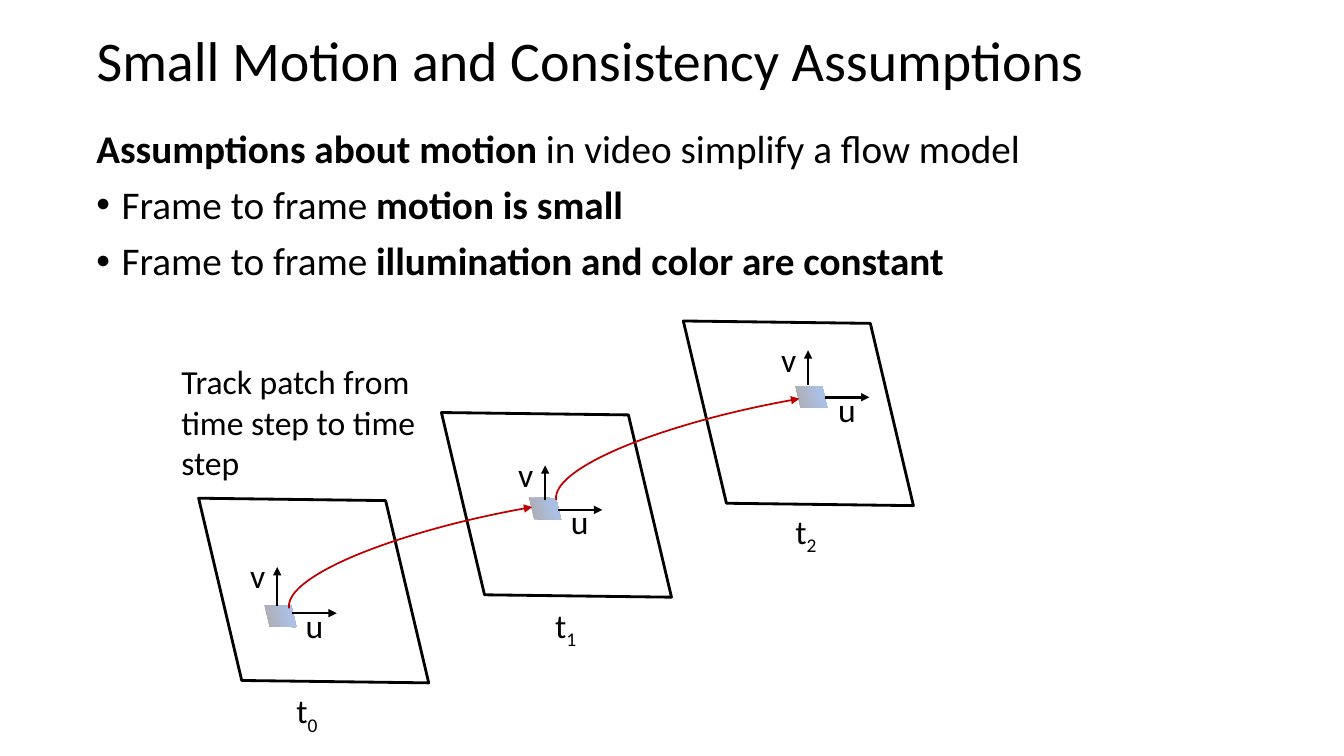
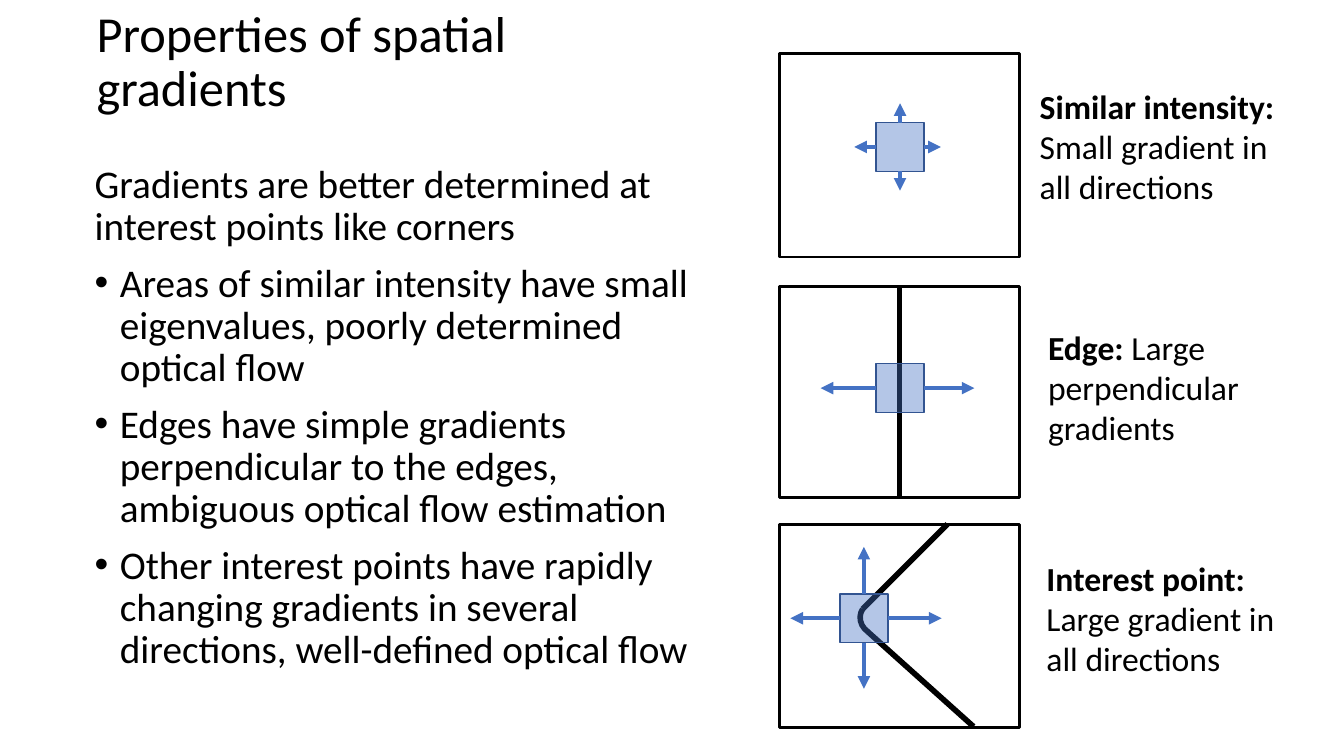
from dataclasses import dataclass, field
from typing import Optional

from lxml.etree import SubElement
from pptx import Presentation
from pptx.dml.color import RGBColor
from pptx.enum.shapes import MSO_CONNECTOR, MSO_SHAPE
from pptx.enum.text import MSO_ANCHOR, MSO_AUTO_SIZE, PP_ALIGN
from pptx.oxml.ns import qn
from pptx.util import Inches, Pt

# Grid: 160 columns by 90 rows of square cells
COLUMNS, ROWS = 160, 90
CELL = Inches(1) // 12

# Shared look
FONT = "Calibri"
BLACK = RGBColor(0x00, 0x00, 0x00)
WHITE = RGBColor(0xFF, 0xFF, 0xFF)
RED = RGBColor(0xC0, 0x00, 0x00)
BLUE = RGBColor(0x44, 0x72, 0xC4)
DARK_BLUE = RGBColor(0x32, 0x54, 0x91)
GREY = RGBColor(0xAF, 0xAB, 0xAB)
PALE_BLUE = RGBColor(0xAB, 0xC0, 0xE4)
LIGHT_BLUE = RGBColor(0xC7, 0xD5, 0xED)
PATCH_STOPS = ((0, GREY), (74, PALE_BLUE), (83, PALE_BLUE), (100, LIGHT_BLUE))
BODY_SIZE, LABEL_SIZE = 28, 24
TILT, SWEEP = 256.7, 260
TOP, LEFT, BOTTOM, RIGHT = range(4)
DIRECTIONS = {TOP: (0, -1), LEFT: (-1, 0), BOTTOM: (0, 1), RIGHT: (1, 0)}

Point = tuple[float, float]


@dataclass(frozen=True)
class Area:
    left: float
    top: float
    width: float
    height: float

    def emu(self) -> list[int]:
        return [cells(v) for v in (self.left, self.top, self.width, self.height)]

    def side(self, site: int) -> Point:
        across, down = DIRECTIONS[site]
        return (self.left + self.width * (1 + across) / 2,
                self.top + self.height * (1 + down) / 2)


@dataclass(frozen=True)
class Span:
    text: str
    bold: bool = False
    lowered: bool = False


@dataclass(frozen=True)
class Para:
    spans: tuple[Span, ...]
    bullet: bool = False


@dataclass(frozen=True)
class TimeStep:
    frame: Point
    patch: Point
    name: Point
    u_start: Point
    v_start: Point
    v_length: float


@dataclass(frozen=True)
class Panel:
    area: Area
    patch: Point
    caption: Point
    heading: str
    text: str
    reach: dict[int, float] = field(default_factory=dict)


def cells(count: float) -> int:
    return round(count * CELL)


# Drawing helpers
def apply(target, values: dict) -> None:
    for name, value in values.items():
        setattr(target, name, value)


def fill_para(para, spans: tuple[Span, ...], size: int) -> None:
    for span in spans:
        run = para.add_run()
        run.text = span.text
        apply(run.font, {"name": FONT, "size": Pt(size), "bold": span.bold})
        run.font.color.rgb = BLACK
        if span.lowered:
            run.font._element.set("baseline", "-25000")


def add_title(page, text: str, width: float, size: int) -> None:
    title = page.shapes.title
    apply(title, dict(zip(("left", "top", "width", "height"),
                          Area(10.3, 1.8, width, 11.4).emu())))
    apply(title.text_frame, {"vertical_anchor": MSO_ANCHOR.MIDDLE,
                             "word_wrap": True, "auto_size": MSO_AUTO_SIZE.NONE})
    para = title.text_frame.paragraphs[0]
    apply(para, {"alignment": PP_ALIGN.LEFT, "line_spacing": 0.9})
    fill_para(para, (Span(text),), size)


def add_label(page, area: Area, *spans: Span) -> None:
    frame = page.shapes.add_textbox(*area.emu()).text_frame
    apply(frame, {"word_wrap": True, "auto_size": MSO_AUTO_SIZE.SHAPE_TO_FIT_TEXT})
    fill_para(frame.paragraphs[0], spans, LABEL_SIZE)


def add_body(page, area: Area, paras: tuple[Para, ...]) -> None:
    frame = page.shapes.add_textbox(*area.emu()).text_frame
    frame.word_wrap = True
    for index, item in enumerate(paras):
        para = frame.add_paragraph() if index else frame.paragraphs[0]
        if item.bullet:
            properties = para._p.get_or_add_pPr()
            properties.set("marL", str(Inches(0.25)))
            properties.set("indent", str(-Inches(0.25)))
            SubElement(properties, qn("a:buFont")).set("typeface", "Arial")
            SubElement(properties, qn("a:buChar")).set("char", "•")
        para.line_spacing = 0.9
        if index:
            para.space_before = Pt(10)
        fill_para(para, item.spans, BODY_SIZE)


def add_arrowhead(line) -> None:
    SubElement(line._get_or_add_ln(), qn("a:tailEnd")).set("type", "triangle")


def add_figure(page, kind: MSO_SHAPE, area: Area, fill: Optional[RGBColor] = None,
               line: Optional[RGBColor] = None, weight: float = 1,
               rotation: float = 0):
    shape = page.shapes.add_shape(kind, *area.emu())
    shape.shadow.inherit = False
    shape.rotation = rotation
    if fill is None:
        shape.fill.background()
    else:
        shape.fill.solid()
        shape.fill.fore_color.rgb = fill
    if line is None:
        shape.line.fill.background()
    else:
        shape.line.color.rgb = line
        shape.line.width = Pt(weight)
    return shape


def add_line(page, start: Point, end: Point, weight: float,
             color: RGBColor = BLACK, arrow: bool = False):
    line = page.shapes.add_connector(MSO_CONNECTOR.STRAIGHT,
                                     *(cells(v) for v in start + end))
    line.line.color.rgb = color
    line.line.width = Pt(weight)
    if arrow:
        add_arrowhead(line.line)
    SubElement(line._element.spPr, qn("a:effectLst"))
    return line


def shade_patch(shape) -> None:
    """Fill with the four-stop gradient that turns with the shape."""
    shape.fill.gradient()
    gradient = shape._element.spPr.find(qn("a:gradFill"))
    gradient.set("rotWithShape", "1")
    stops = gradient.find(qn("a:gsLst"))
    for stop in list(stops):
        stops.remove(stop)
    for position, color in PATCH_STOPS:
        stop = SubElement(stops, qn("a:gs"))
        stop.set("pos", str(position * 1000))
        SubElement(stop, qn("a:srgbClr")).set("val", str(color))
    gradient.find(qn("a:lin")).set("ang", "5400000")


# Slide 1: a patch tracked over three time steps
STEPS = (
    TimeStep((23.5, 59.5), (31.7, 71.8), (34.1, 81.6), (34.8, 73), (33, 72.1), 4.6),
    TimeStep((52.4, 49.3), (63.2, 59), (64.9, 71.4), (66.4, 60.7), (64.9, 59.5), 4.1),
    TimeStep((81.2, 38.4), (94.9, 45.7), (93.5, 60.2), (98.2, 47.3), (96.2, 45.8), 4.1),
)
TRACKS = ((57.7, 36.5), (89.5, 23.6))
MOTION_TEXT = (
    Para((Span("Assumptions about motion", True),
          Span(" in video simplify a flow model"))),
    Para((Span("Frame to frame "), Span("motion is small", True)), True),
    Para((Span("Frame to frame "),
          Span("illumination and color are constant", True)), True),
)


def add_step(page, step: TimeStep, number: int) -> None:
    add_figure(page, MSO_SHAPE.PARALLELOGRAM, Area(*step.frame, 27.7, 21.6),
               line=BLACK, weight=2, rotation=TILT)
    shade_patch(add_figure(page, MSO_SHAPE.PARALLELOGRAM,
                           Area(*step.patch, 3.4, 3.1), rotation=TILT))
    add_label(page, Area(*step.name, 10.1, 6), Span("t"),
              Span(str(number), lowered=True))
    x, y = step.u_start
    add_line(page, (x, y), (x + 5.3, y), 1.75, arrow=True)
    add_label(page, Area(x + 0.4, y - 1.6, 5.5, 6), Span("u"))
    x, y = step.v_start
    tip = y - step.v_length
    add_line(page, (x, y), (x, tip), 1.75, arrow=True)
    add_label(page, Area(x - 4.4, tip - 2, 4.4, 6), Span("v"))


def build_motion(page) -> None:
    add_title(page, "Small Motion and Consistency Assumptions", 138, 40)
    add_body(page, Area(10.3, 14.8, 138, 22.8), MOTION_TEXT)
    for number, step in enumerate(STEPS):
        add_step(page, step, number)
    for place in TRACKS:
        track = add_figure(page, MSO_SHAPE.ARC, Area(*place, 13.7, 61.2),
                           line=RED, weight=1.25, rotation=SWEEP)
        add_arrowhead(track.line)
    add_label(page, Area(20.4, 42.4, 32, 15.7),
              Span("Track patch from time step to time step"))


# Slide 2: gradients in three kinds of region
PANELS = (
    Panel(Area(92.8, 6.4, 28.6, 24.2), (104.3, 14.6), (122.6, 9.6),
          "Similar intensity:", " Small gradient in all directions",
          {RIGHT: 2, BOTTOM: 2.3, LEFT: 2.6, TOP: 2.3}),
    Panel(Area(92.8, 34.1, 28.6, 25.1), (104.3, 43.3), (123.6, 38.3),
          "Edge:", " Large perpendicular gradients", {RIGHT: 6, LEFT: 6.6}),
    Panel(Area(92.8, 62.4, 28.6, 24.2), (100, 70.7), (123.4, 65.8),
          "Interest point:", " Large gradient in all directions",
          {RIGHT: 6.4, BOTTOM: 5.5, LEFT: 5.9, TOP: 5.6}),
)
CORNER_LINES = (
    ((103.3, 75.2), (115.9, 86.5), 4),
    ((102.7, 72.5), (112.8, 62.4), 4),
    ((112.8, 62.4), (121.3, 62.5), 0.5),
    ((121.3, 62.5), (121.3, 86.6), 0.5),
    ((115.9, 86.5), (121.3, 86.5), 0.5),
)
GRADIENT_TEXT = (
    Para((Span("Gradients are better determined at interest points like corners"),)),
    Para((Span("Areas of similar intensity have small eigenvalues, "
               "poorly determined optical flow"),), True),
    Para((Span("Edges have simple gradients perpendicular to the edges, "
               "ambiguous optical flow estimation"),), True),
    Para((Span("Other interest points have rapidly changing gradients in several "
               "directions, well-defined optical flow"),), True),
)


def add_patch(page, panel: Panel) -> None:
    area = Area(*panel.patch, 5.7, 5.8)
    patch = add_figure(page, MSO_SHAPE.RECTANGLE, area, BLUE, DARK_BLUE)
    color = patch._element.spPr.find(qn("a:solidFill"))[0]
    SubElement(color, qn("a:alpha")).set("val", "40000")
    for site, length in panel.reach.items():
        x, y = area.side(site)
        across, down = DIRECTIONS[site]
        arrow = add_line(page, (x, y), (x + across * length, y + down * length),
                         3, BLUE, arrow=True)
        arrow.begin_connect(patch, site)


def build_gradients(page) -> None:
    add_title(page, "Properties of spatial gradients", 72.1, 36)
    add_body(page, Area(10.1, 19, 78, 69.4), GRADIENT_TEXT)
    boxes = [add_figure(page, MSO_SHAPE.RECTANGLE, panel.area, line=BLACK, weight=2)
             for panel in PANELS]
    # Rounded corner and straight edge lie under the patches
    bend = add_figure(page, MSO_SHAPE.ARC, Area(102.5, 71.6, 3.8, 4.1),
                      WHITE, BLACK, 4, 304.4)
    bend._element.spPr.find(qn("a:xfrm")).set("flipH", "1")
    for start, end, weight in CORNER_LINES:
        add_line(page, start, end, weight)
    edge_area = PANELS[1].area
    edge = add_line(page, edge_area.side(TOP), edge_area.side(BOTTOM), 4)
    edge.begin_connect(boxes[1], TOP)
    edge.end_connect(boxes[1], BOTTOM)
    for panel in PANELS:
        add_patch(page, panel)
        add_label(page, Area(*panel.caption, 32.2, 15.7),
                  Span(panel.heading, True), Span(panel.text))


def main() -> None:
    deck = Presentation()
    apply(deck, {"slide_width": COLUMNS * CELL, "slide_height": ROWS * CELL})
    title_only = deck.slide_layouts[5]
    for build in (build_motion, build_gradients):
        build(deck.slides.add_slide(title_only))
    deck.save("out.pptx")


if __name__ == "__main__":
    main()
